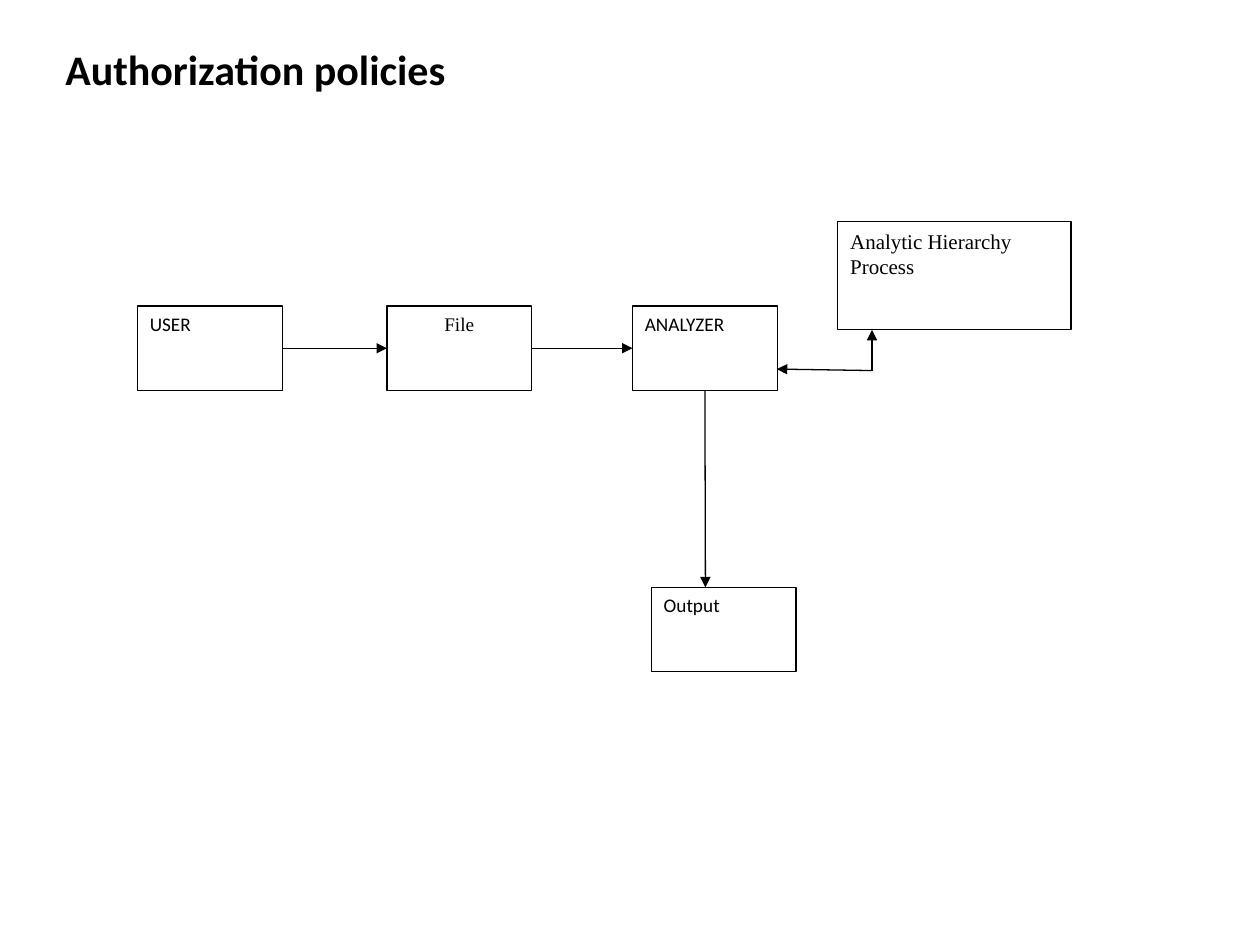
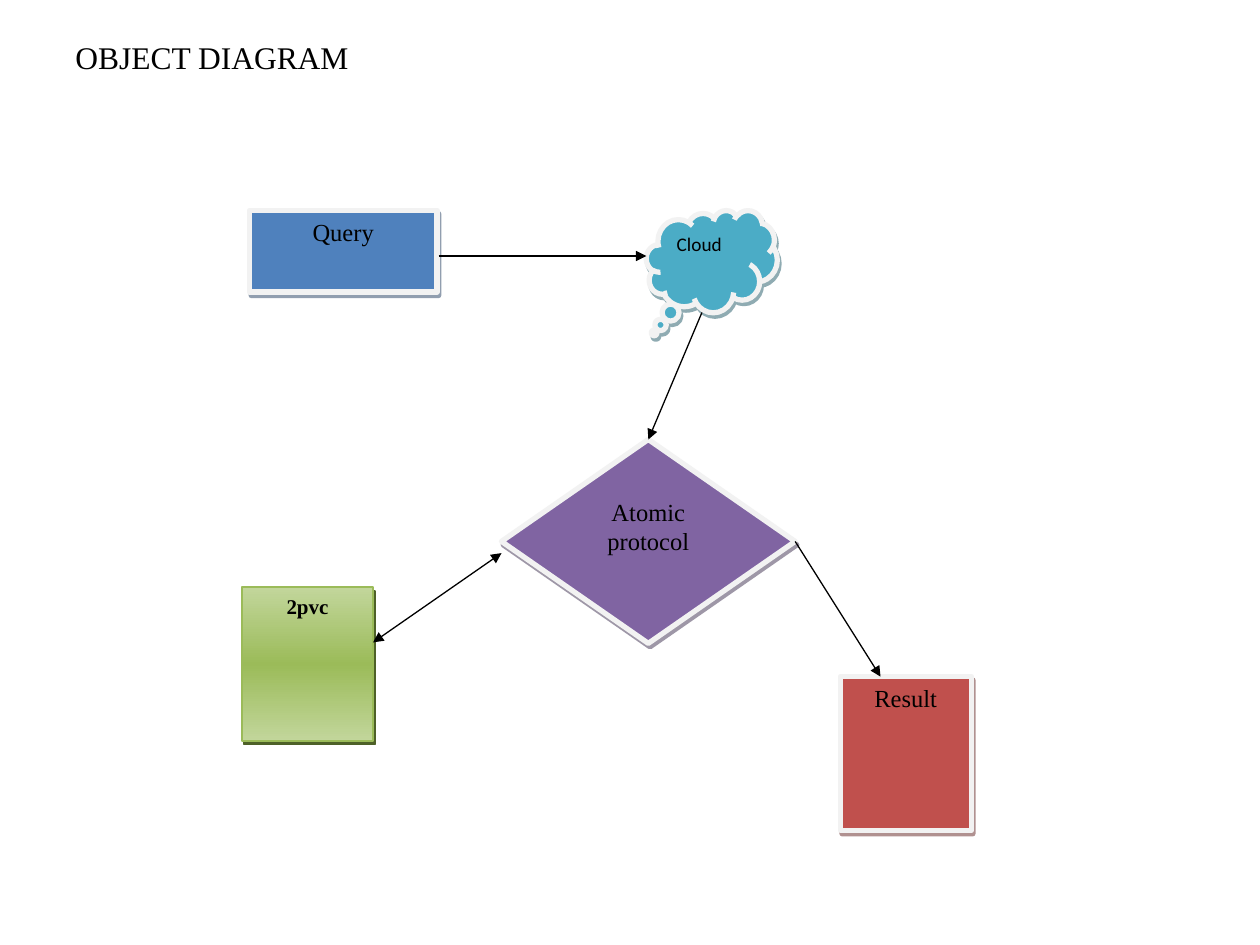
"""Build two diagram slides: authorization policies and an object diagram."""
from copy import deepcopy
from dataclasses import dataclass
from typing import Optional, Union

from lxml.etree import SubElement as Sub
from pptx import Presentation
from pptx.dml.color import RGBColor as Rgb
from pptx.enum.shapes import MSO_CONNECTOR as Link, MSO_SHAPE as Form
from pptx.enum.text import MSO_ANCHOR as Anchor, PP_ALIGN as Align
from pptx.oxml.ns import qn
from pptx.util import Cm, Pt


@dataclass(frozen=True)
class Theme:
    sans: str = "Calibri"
    serif: str = "Times New Roman"
    ink: str = "000000"
    paper: str = "FFFFFF"
    rim: str = "F2F2F2"
    blue: str = "4F81BD"
    navy: str = "243F60"
    violet: str = "8064A2"
    plum: str = "3F3151"
    teal: str = "4BACC6"
    deep: str = "205867"
    green: str = "9BBB59"
    pale: str = "C2D69B"
    moss: str = "4E6128"
    red: str = "C0504D"
    wine: str = "622423"
    head: int = 24
    sub: int = 18
    large: int = 14
    mid: int = 12
    small: int = 11
    hair: float = 0.75
    thin: float = 1
    thick: float = 3


T = Theme()


@dataclass(frozen=True)
class Node:
    text: str
    x: float
    y: float
    w: float = 2.92
    h: float = 1.7
    form: Form = Form.RECTANGLE
    fill: str = T.paper
    edge: str = T.ink
    width: float = T.hair
    glow: Optional[str] = None
    shade: Optional[str] = None
    alpha: int = 50
    font: str = T.serif
    size: int = T.large
    bold: bool = False
    align: Align = Align.CENTER


@dataclass(frozen=True)
class Joint:
    node: str
    site: int


@dataclass(frozen=True)
class Spot:
    x: float
    y: float


End = Union[Joint, Spot]


@dataclass(frozen=True)
class Arrow:
    start: End
    end: End
    both: bool = False


@dataclass(frozen=True)
class Title:
    text: str
    x: float
    y: float
    h: float
    font: str
    size: int
    bold: bool = False
    anchor: Anchor = Anchor.MIDDLE
    inset: float = 0.13


TOP, LEFT, BASE, RIGHT = range(4)
ROW = 6.17
PLAIN = dict(font=T.sans, size=T.small, align=Align.LEFT)
FRAME = dict(edge=T.rim, width=T.thick)
CARD = dict(w=2.64, h=3.1)

POLICY = (
    Title("Authorization policies", 1.07, 0.64, 1.47, T.sans, T.head, True),
    (
        Node("USER", 2.77, ROW, **PLAIN),
        Node("File", 7.8, ROW, size=T.small),
        Node("ANALYZER", 12.75, ROW, **PLAIN),
        Node("Analytic Hierarchy Process", 16.89, 4.47, 4.7, 2.18,
             size=T.mid, align=Align.LEFT),
        Node("Output", 13.13, 11.84, **PLAIN),
    ),
    (
        Arrow(Joint("USER", RIGHT), Joint("File", LEFT)),
        Arrow(Joint("File", RIGHT), Joint("ANALYZER", LEFT)),
        Arrow(Spot(17.58, 7.47), Spot(15.66, 7.44)),
        Arrow(Spot(17.58, 7.47), Spot(17.58, 6.65)),
        Arrow(Joint("ANALYZER", BASE), Spot(14.22, 11.84)),
    ),
)

OBJECT = (
    Title("OBJECT DIAGRAM", 1.27, 0.76, 1.35, T.serif, T.sub,
          anchor=Anchor.TOP, inset=0),
    (
        Node("Query", 5.03, 4.24, 3.78, 1.65, fill=T.blue, shade=T.navy, **FRAME),
        Node("Atomic protocol", 10.11, 8.86, 5.92, 4.11, Form.DIAMOND,
             fill=T.violet, shade=T.plum, **FRAME),
        Node("Cloud", 13.03, 4.24, 2.64, 2.06, Form.CLOUD_CALLOUT,
             fill=T.teal, shade=T.deep, **FRAME, **PLAIN),
        Node("2pvc", 4.88, 11.84, fill=T.green, glow=T.pale, edge=T.green,
             width=T.thin, shade=T.moss, alpha=100, size=T.mid, bold=True, **CARD),
        Node("Result", 16.94, 13.64, fill=T.red, shade=T.wine, **FRAME, **CARD),
    ),
    (
        Arrow(Spot(8.84, 5.16), Spot(13.03, 5.16)),
        Arrow(Spot(14.15, 6.3), Joint("Atomic protocol", TOP)),
        Arrow(Joint("Atomic protocol", RIGHT), Spot(17.75, 13.64)),
        Arrow(Spot(7.52, 12.95), Spot(10.11, 11.15), both=True),
    ),
)


def write(shape, text: str, *, font: str, size: int, bold: bool = False,
          align: Align = Align.LEFT, anchor: Anchor = Anchor.TOP,
          after: float = 0, inset: float = 0.13) -> None:
    frame = shape.text_frame
    frame.word_wrap = True
    frame.vertical_anchor = anchor
    frame.margin_top = Cm(inset)
    para = frame.paragraphs[0]
    para.alignment = align
    para.space_after = Pt(after)
    run = para.add_run()
    run.text = text
    run.font.name = font
    run.font.size = Pt(size)
    run.font.bold = bold
    run.font.color.rgb = Rgb.from_string(T.ink)


def paint(shape, fill: str, glow: Optional[str]) -> None:
    if glow is None:
        shape.fill.solid()
        shape.fill.fore_color.rgb = Rgb.from_string(fill)
        return
    shape.fill.gradient()
    shape.fill.gradient_angle = 90
    stops = shape._element.spPr.find(".//" + qn("a:gsLst"))
    stops.append(deepcopy(stops[0]))
    for stop, tint, place in zip(shape.fill.gradient_stops,
                                 (glow, fill, glow), (0, 0.5, 1)):
        stop.color.rgb = Rgb.from_string(tint)
        stop.position = place


def cast(shape, shade: str, alpha: int) -> None:
    effect = shape._element.spPr.find(qn("a:effectLst"))
    outer = Sub(effect, qn("a:outerShdw"), blurRad="0", dist=str(Pt(2.2)),
                dir=str(63 * 60000), algn="ctr", rotWithShape="0")
    tint = Sub(outer, qn("a:srgbClr"), val=shade)
    Sub(tint, qn("a:alpha"), val=str(alpha * 1000))


def place(slide, node: Node):
    shape = slide.shapes.add_shape(node.form, Cm(node.x), Cm(node.y),
                                   Cm(node.w), Cm(node.h))
    if node.form == Form.CLOUD_CALLOUT:
        shape.adjustments[0], shape.adjustments[1] = -0.44, 0.7
    paint(shape, node.fill, node.glow)
    shape.line.color.rgb = Rgb.from_string(node.edge)
    shape.line.width = Pt(node.width)
    shape.shadow.inherit = False
    if node.shade:
        cast(shape, node.shade, node.alpha)
    write(shape, node.text, font=node.font, size=node.size, bold=node.bold,
          align=node.align, after=10)
    return shape


def join(slide, arrow: Arrow, shapes: dict) -> None:
    ends = [Cm(value) for end in (arrow.start, arrow.end)
            for value in ((end.x, end.y) if isinstance(end, Spot) else (0, 0))]
    line = slide.shapes.add_connector(Link.STRAIGHT, *ends)
    for end, bind in ((arrow.start, line.begin_connect),
                      (arrow.end, line.end_connect)):
        if isinstance(end, Joint):
            bind(shapes[end.node], end.site)
    line.line.color.rgb = Rgb.from_string(T.ink)
    line.line.width = Pt(T.hair)
    props = line._element.spPr
    stroke = props.find(qn("a:ln"))
    for tip in ("a:headEnd", "a:tailEnd") if arrow.both else ("a:tailEnd",):
        Sub(stroke, qn(tip), type="triangle")
    Sub(props, qn("a:effectLst"))


def build(deck, title: Title, nodes: tuple, arrows: tuple) -> None:
    slide = deck.slides.add_slide(deck.slide_layouts[6])
    box = slide.shapes.add_textbox(Cm(title.x), Cm(title.y), Cm(22.86), Cm(title.h))
    write(box, title.text, font=title.font, size=title.size, bold=title.bold,
          anchor=title.anchor, inset=title.inset)
    shapes = {node.text: place(slide, node) for node in nodes}
    for arrow in arrows:
        join(slide, arrow, shapes)


def main() -> None:
    deck = Presentation()
    deck.slide_width, deck.slide_height = Cm(25.4), Cm(19.05)
    for page in (POLICY, OBJECT):
        build(deck, *page)
    deck.save("out.pptx")


if __name__ == "__main__":
    main()
